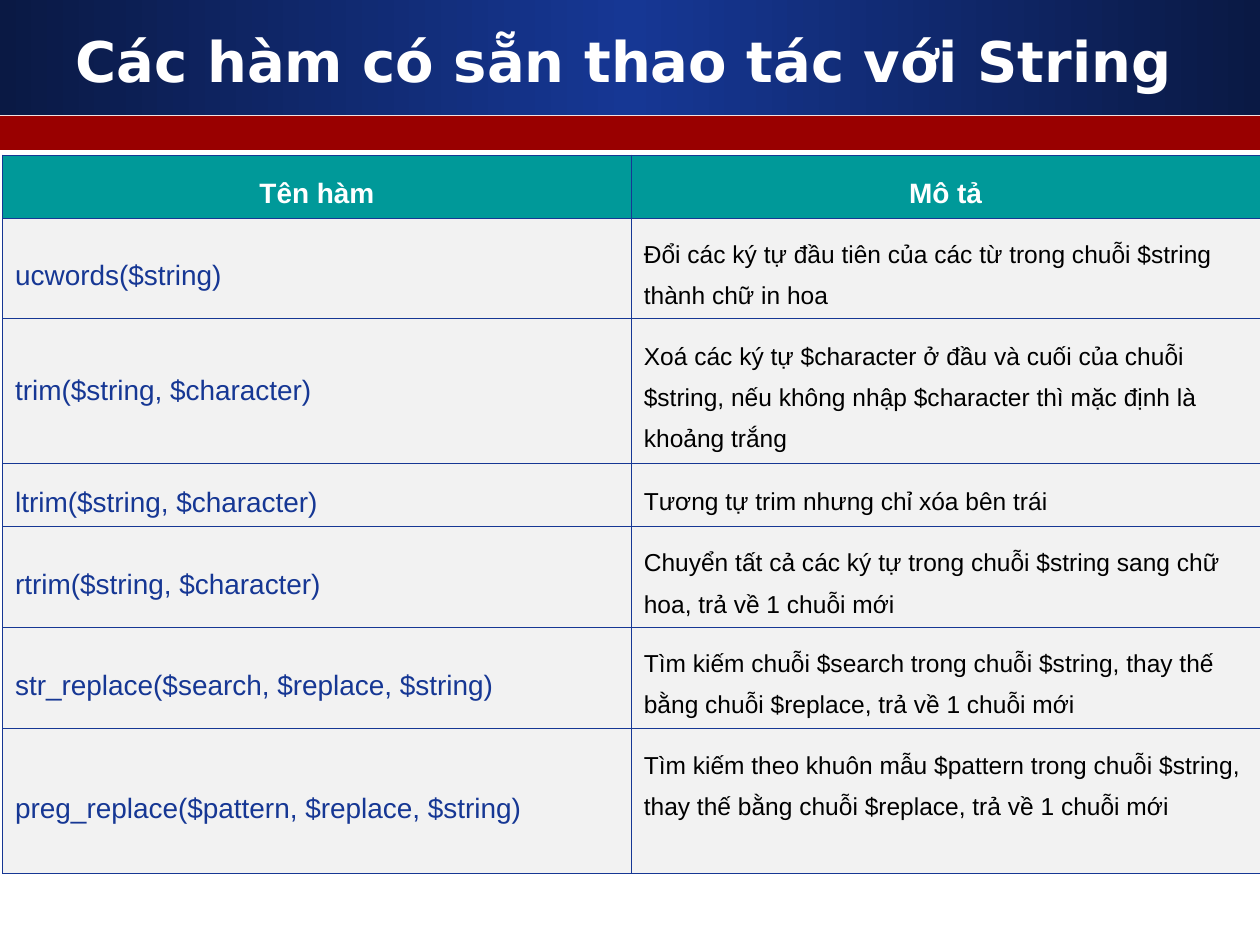
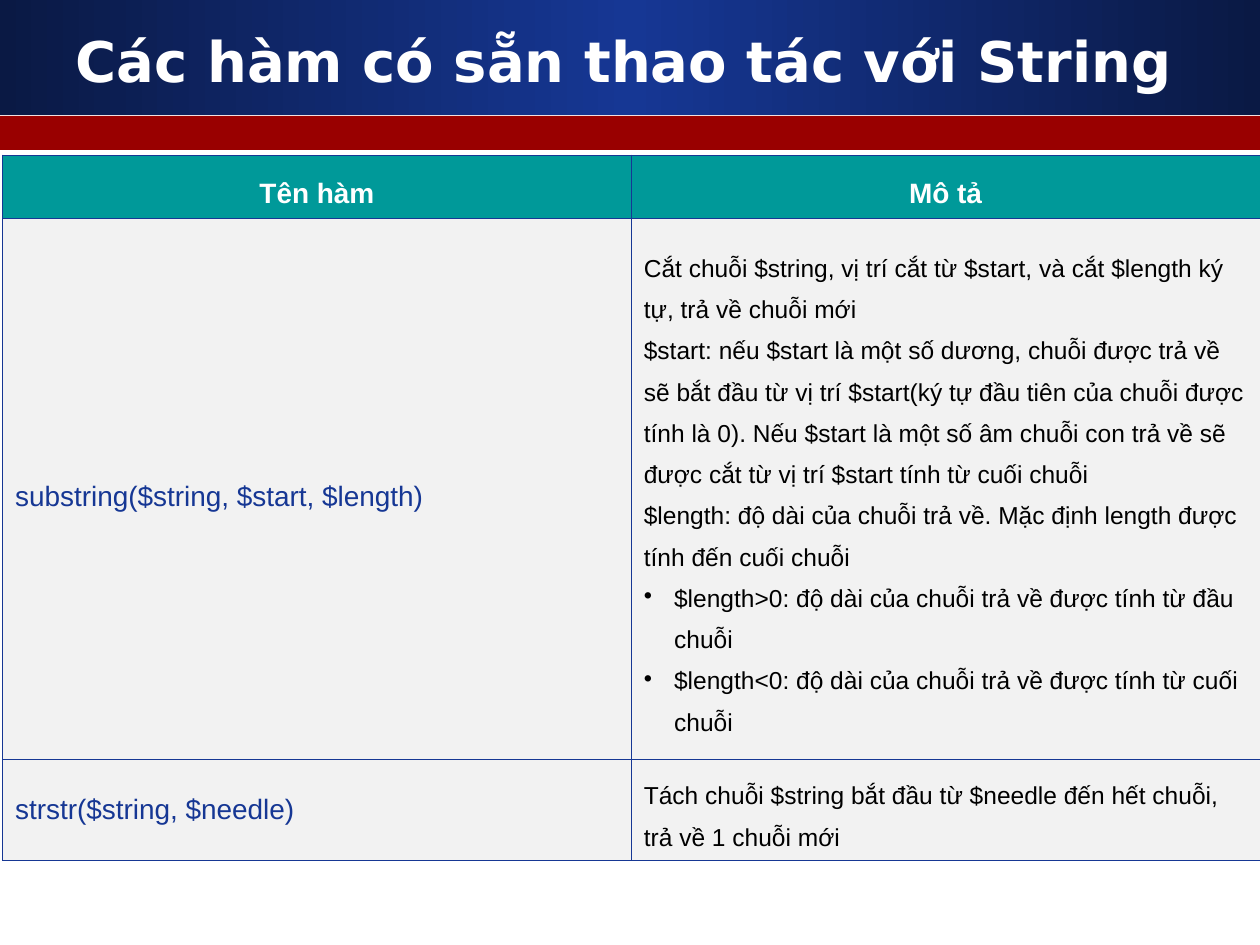
import copy

import lxml.etree
import pptx
import pptx.dml.color
import pptx.enum.shapes
import pptx.enum.text
import pptx.oxml
import pptx.oxml.ns
import pptx.util

Inches, Pt = pptx.util.Inches, pptx.util.Pt
PP_ALIGN = pptx.enum.text.PP_ALIGN
MIDDLE = pptx.enum.text.MSO_ANCHOR.MIDDLE
qn = pptx.oxml.ns.qn

COLORS = {
    "navy": "0A1944", "blue": "163794", "red": "990000", "teal": "009999",
    "cell": "F2F2F2", "white": "FFFFFF", "black": "000000",
}
TITLE = "Các hàm có sẵn thao tác với String"
HEADER = ("Tên hàm", "Mô tả")
HEADER_HEIGHT = 0.5
TABLE_BOX = (0.02, 1.23, 9.98)  # left, top, width
BULLET = "•"
BULLET_INDENT = 0.24
SPARE_LINE = 0.33  # room kept free below a description

FORMATS = {
    "title": {"size": Pt(32), "name": "DejaVu Sans", "bold": True, "color": "white"},
    "header": {"size": Pt(16), "name": "Arial", "bold": True, "color": "white"},
    "function": {"size": Pt(16), "name": "Arial", "bold": False, "color": "blue"},
    "description": {"size": Pt(14), "name": "Arial", "bold": False, "color": "black"},
}

# Row: function, description paragraphs, height, function line spacing, spare space below
BASIC_FUNCTIONS = [
    ("ucwords($string)",
     ["Đổi các ký tự đầu tiên của các từ trong chuỗi $string thành chữ in hoa"],
     0.8, 1.5, 0),
    ("trim($string, $character)",
     ["Xoá các ký tự $character ở đầu và cuối của chuỗi $string, nếu không nhập "
      "$character thì mặc định là khoảng trắng"],
     1.15, 1.0, 0),
    ("ltrim($string, $character)", ["Tương tự trim nhưng chỉ xóa bên trái"], 0.5, 1.5, 0),
    ("rtrim($string, $character)",
     ["Chuyển tất cả các ký tự trong chuỗi $string sang chữ hoa, trả về 1 chuỗi mới"],
     0.8, 1.5, 0),
    ("str_replace($search, $replace, $string)",
     ["Tìm kiếm chuỗi $search trong chuỗi $string, thay thế bằng chuỗi $replace, "
      "trả về 1 chuỗi mới"],
     0.8, 1.5, 0),
    ("preg_replace($pattern, $replace, $string)",
     ["Tìm kiếm theo khuôn mẫu $pattern trong chuỗi $string, thay thế bằng chuỗi "
      "$replace, trả về 1 chuỗi mới"],
     1.15, 1.5, SPARE_LINE),
]
SUBSTRING_FUNCTIONS = [
    ("substring($string, $start, $length)",
     ["Cắt chuỗi $string, vị trí cắt từ $start, và cắt $length ký tự, trả về chuỗi mới",
      "$start: nếu $start là một số dương, chuỗi được trả về sẽ bắt đầu từ vị trí "
      "$start(ký tự đầu tiên của chuỗi được tính là 0). Nếu $start là một số âm chuỗi "
      "con trả về sẽ được cắt từ vị trí $start tính từ cuối chuỗi",
      "$length: độ dài của chuỗi trả về. Mặc định length được tính đến cuối chuỗi",
      "•$length>0: độ dài của chuỗi trả về được tính từ đầu chuỗi",
      "•$length<0: độ dài của chuỗi trả về được tính từ cuối chuỗi"],
     4.3, 1.5, 0),
    ("strstr($string, $needle)",
     ["Tách chuỗi $string bắt đầu từ $needle đến hết chuỗi, trả về 1 chuỗi mới"],
     0.8, 1.0, 0),
]


def rgb(name):
    return pptx.dml.color.RGBColor.from_string(COLORS[name])


def add_text(p, text, style):
    r = p.add_run()
    r.text = text
    for key, value in FORMATS[style].items():
        if key == "color":
            r.font.color.rgb = rgb(value)
        else:
            setattr(r.font, key, value)


def add_bullet(p):
    pPr = p._p.get_or_add_pPr()
    pPr.set("marL", str(Inches(BULLET_INDENT)))
    pPr.set("indent", str(-Inches(BULLET_INDENT)))
    lxml.etree.SubElement(pPr, qn("a:buChar")).set("char", BULLET)


def add_band(slide, box):
    sp = slide.shapes.add_shape(pptx.enum.shapes.MSO_SHAPE.RECTANGLE, *map(Inches, box))
    sp.shadow.inherit = False
    sp.line.fill.background()
    return sp


def add_layout_bands(layout, slide):
    """Draw the two header bands and place them behind everything on the layout."""
    title_band = add_band(slide, (0, 0, 10, 0.91))
    fill = title_band.fill
    fill.gradient()
    fill.gradient_angle = 0
    stops = title_band.element.spPr.find(".//" + qn("a:gsLst"))
    stops.append(copy.deepcopy(stops[0]))
    for stop, position, color in zip(fill.gradient_stops, (0, 0.5, 1), ("navy", "blue", "navy")):
        stop.position = position
        stop.color.rgb = rgb(color)

    red_band = add_band(slide, (0, 0.92, 10, 0.27))
    red_band.fill.solid()
    red_band.fill.fore_color.rgb = rgb("red")

    for i, sp in enumerate((title_band, red_band)):
        sp.element.nvSpPr.cNvPr.set("id", str(101 + i))
        layout.shapes.element.insert(2 + i, sp.element)


def set_title(sp, box):
    sp.left, sp.top, sp.width, sp.height = map(Inches, box)
    tf = sp.text_frame
    tf.auto_size = pptx.enum.text.MSO_AUTO_SIZE.NONE
    tf.vertical_anchor = MIDDLE
    p = tf.paragraphs[0]
    p.alignment = PP_ALIGN.CENTER
    add_text(p, TITLE, "title")


def set_borders(cell):
    tcPr = cell._tc.get_or_add_tcPr()
    for side in ("lnL", "lnR", "lnT", "lnB"):
        ln = lxml.etree.SubElement(tcPr, qn("a:" + side), w=str(Pt(0.45)))
        fill = lxml.etree.SubElement(ln, qn("a:solidFill"))
        lxml.etree.SubElement(fill, qn("a:srgbClr"), val=COLORS["blue"])


def fill_cell(cell, texts, style, spacing=1.5, spare=0):
    set_borders(cell)
    cell.fill.solid()
    cell.fill.fore_color.rgb = rgb("teal" if style == "header" else "cell")
    cell.vertical_anchor = MIDDLE
    cell.margin_bottom = Inches(0.05 + spare)
    tf = cell.text_frame
    for i, text in enumerate(texts):
        p = tf.add_paragraph() if i else tf.paragraphs[0]
        p.alignment = PP_ALIGN.CENTER if style == "header" else PP_ALIGN.LEFT
        p.line_spacing = spacing
        if text.startswith(BULLET):
            add_bullet(p)
        add_text(p, text.removeprefix(BULLET), style)


def add_function_table(slide, box, functions):
    left, top, width = box
    heights = [HEADER_HEIGHT] + [row[2] for row in functions]
    table = slide.shapes.add_table(
        len(heights), 2, *map(Inches, (left, top, width, sum(heights)))).table
    table.horz_banding = False
    for column in table.columns:
        column.width = Inches(width / 2)
    for row, height in zip(table.rows, heights):
        row.height = Inches(height)
    for i, text in enumerate(HEADER):
        fill_cell(table.cell(0, i), [text], "header")
    for i, (name, description, _, spacing, spare) in enumerate(functions, 1):
        fill_cell(table.cell(i, 0), [name], "function", spacing)
        fill_cell(table.cell(i, 1), description, "description", spare=spare)


def main():
    prs = pptx.Presentation()
    prs.slide_width, prs.slide_height = Inches(10), Inches(7.5)
    layout = prs.slide_layouts[5]
    for i, functions in enumerate((BASIC_FUNCTIONS, SUBSTRING_FUNCTIONS)):
        slide = prs.slides.add_slide(layout)
        if i == 0:
            add_layout_bands(layout, slide)
        set_title(slide.shapes.title, (0.33, 0.17, 9.25, 0.62))
        add_function_table(slide, TABLE_BOX, functions)
    prs.save("out.pptx")


if __name__ == "__main__":
    main()
